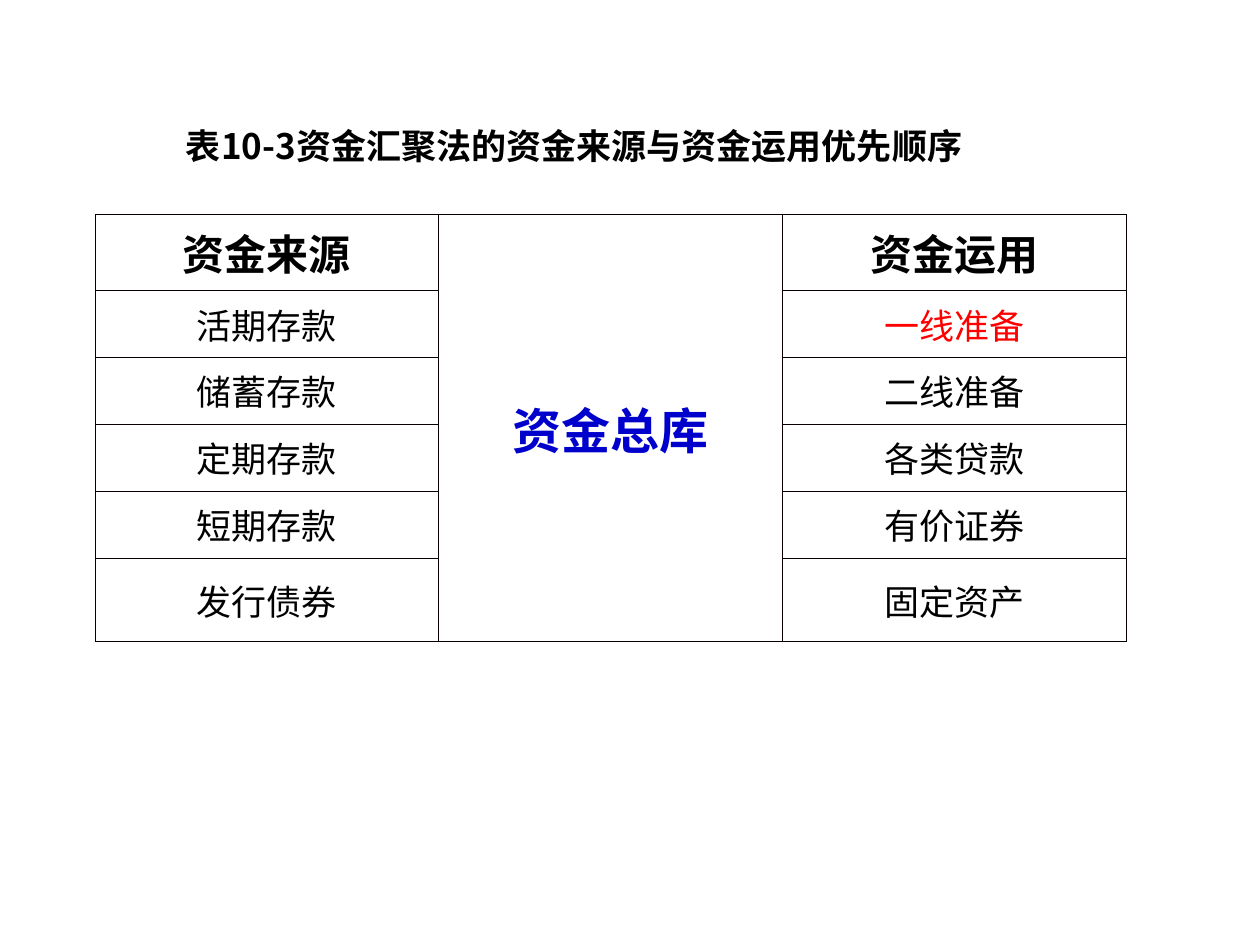
from lxml import etree
from pptx import Presentation
from pptx import util as u
from pptx.dml.color import RGBColor
from pptx.enum import text
from pptx.oxml.ns import qn

BLACK = RGBColor(0x00, 0x00, 0x00)
RED = RGBColor(0xFF, 0x00, 0x00)
BLUE = RGBColor(0x00, 0x00, 0xCC)
BORDER = "080000"
FONT = "Noto Sans CJK SC"

SOURCES = ["资金来源", "活期存款", "储蓄存款", "定期存款", "短期存款", "发行债券"]
USES = ["资金运用", "一线准备", "二线准备", "各类贷款", "有价证券", "固定资产"]
ROW_HEIGHTS = [1.53, 1.35, 1.35, 1.35, 1.35, 1.45]


def write(tf, content, size=20, color=BLACK, bold=False, align=text.PP_ALIGN.LEFT):
    p = tf.paragraphs[0]
    p.alignment = align
    r = p.add_run()
    r.text = content
    r.font.size = u.Pt(size)
    r.font.bold = bold
    r.font.color.rgb = color
    r.font.name = FONT
    ea = etree.SubElement(r.font._element, qn("a:ea"))
    ea.set("typeface", FONT)


def style_cell(cell):
    tc_pr = cell._tc.get_or_add_tcPr()
    for side in ("lnL", "lnR", "lnT", "lnB"):
        ln = etree.SubElement(tc_pr, qn(f"a:{side}"), w=str(u.Pt(0.23)))
        fill = etree.SubElement(ln, qn("a:solidFill"))
        etree.SubElement(fill, qn("a:srgbClr"), val=BORDER)
    cell.fill.background()
    cell.vertical_anchor = text.MSO_ANCHOR.MIDDLE


def add_title(s, left, top, width, height):
    sp = s.shapes.add_textbox(left, top, width, height)
    tf = sp.text_frame
    tf.word_wrap = True
    tf.auto_size = text.MSO_AUTO_SIZE.SHAPE_TO_FIT_TEXT
    write(tf, "表10-3资金汇聚法的资金来源与资金运用优先顺序", bold=True)


def add_funds_table(s, left, top, width, height):
    table = s.shapes.add_table(len(SOURCES), 3, left, top, width, height).table
    table.horz_banding = False
    table.first_row = False
    for row, row_height in zip(table.rows, ROW_HEIGHTS):
        row.height = u.Cm(row_height)
    for cell in table.iter_cells():
        style_cell(cell)

    center = text.PP_ALIGN.CENTER
    for col, labels in ((0, SOURCES), (2, USES)):
        for row, label in enumerate(labels):
            header = row == 0
            write(table.cell(row, col).text_frame, label,
                  size=24 if header else 20, bold=header, align=center,
                  color=RED if label == "一线准备" else BLACK)

    pool = table.cell(0, 1)
    pool.merge(table.cell(len(SOURCES) - 1, 1))
    write(pool.text_frame, "资金总库", size=28, color=BLUE, bold=True, align=center)


def main():
    prs = Presentation()
    prs.slide_width, prs.slide_height = u.Cm(25.4), u.Cm(19.05)
    s = prs.slides.add_slide(prs.slide_layouts[6])
    add_funds_table(s, u.Cm(1.91), u.Cm(4.32), u.Cm(20.79), u.Cm(sum(ROW_HEIGHTS)))
    add_title(s, u.Cm(3.5), u.Cm(2.38), u.Cm(16.6), u.Cm(1.12))
    prs.save("out.pptx")


if __name__ == "__main__":
    main()
